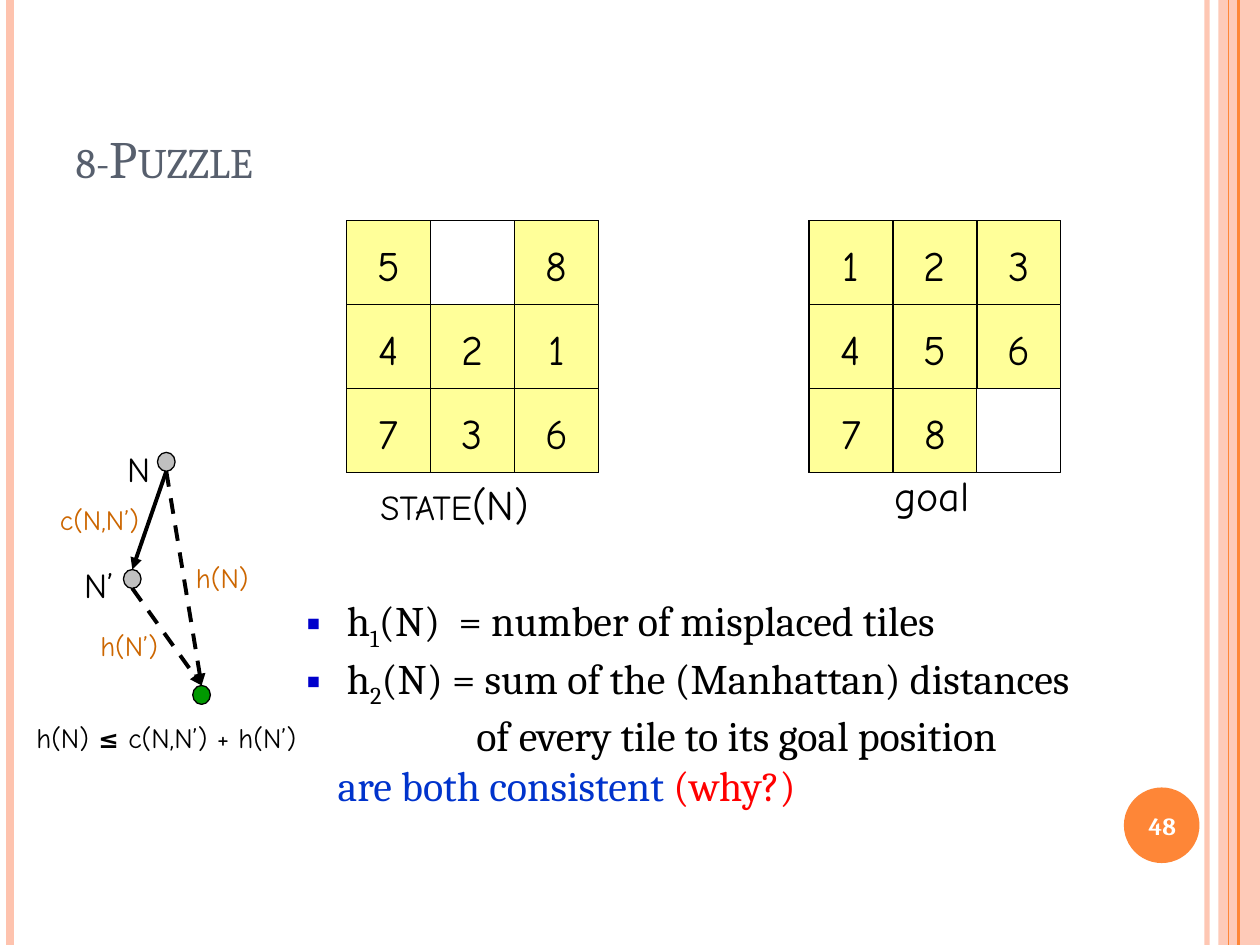
from lxml import etree
from pptx import Presentation
from pptx.dml.color import RGBColor
from pptx.enum import dml, shapes, text
from pptx.oxml import ns
from pptx.util import Inches, Pt

BLACK = RGBColor(0x00, 0x00, 0x00)
WHITE = RGBColor(0xFF, 0xFF, 0xFF)
PEACH = RGBColor(0xFE, 0xC3, 0xAE)
ORANGE = RGBColor(0xFE, 0x86, 0x37)
SLATE = RGBColor(0x57, 0x5F, 0x6D)
YELLOW = RGBColor(0xFF, 0xFF, 0x99)
GREY = RGBColor(0xC0, 0xC0, 0xC0)
GREEN = RGBColor(0x00, 0x99, 0x00)
BROWN = RGBColor(0xCC, 0x66, 0x00)
BLUE = RGBColor(0x00, 0x33, 0xCC)
RED = RGBColor(0xFF, 0x00, 0x00)
BULLET_BLUE = "0000CC"
SERIF, HAND = "Cambria", "Comic Neue"
RECT, OVAL = shapes.MSO_SHAPE.RECTANGLE, shapes.MSO_SHAPE.OVAL
LEFT, CENTER = text.PP_ALIGN.LEFT, text.PP_ALIGN.CENTER

# Content
TITLE = "8-Puzzle"
PAGE = "48"
BOARD_TOP, BOARD_SIZE = 1.75, 2
BOARDS = [  # left edge, rows of tiles
    (2.75, ["5 8", "421", "736"]),
    (6.42, ["123", "456", "78 "]),
]
# Runs are (text, size, bold)
CAPTIONS = [  # box, runs
    ((2.92, 3.75, 1.66, 0.5), [("STATE", 20, False), ("(N)", 24, False)]),
    ((7, 3.68, 0.82, 0.5), [("goal", 24, False)]),
    ((0.19, 5.67, 2.39, 0.37),
     [("h(N) ", 16, False), ("≤", 14, True), (" c(N,N’) + h(N’)", 16, False)]),
]
HEURISTICS = [  # bulleted, left margin, runs of (text, colour, subscript)
    (True, 0.5, [(" h", BLACK, False), ("1", BLACK, True),
                 ("(N)  = number of misplaced tiles", BLACK, False)]),
    (True, 0.5, [(" h", BLACK, False), ("2", BLACK, True),
                 ("(N) = sum of the (Manhattan) distances", BLACK, False)]),
    (False, 1.6, [("of every tile to its goal position", BLACK, False)]),
    (False, 0.5, [("are both consistent ", BLUE, False), ("(why?)", RED, False)]),
]
NODE_W, NODE_H = 0.14, 0.15
NODES = {  # left, top, colour
    "N": (1.25, 3.59, GREY),
    "N’": (0.98, 4.52, GREY),
    "goal": (1.53, 5.44, GREEN),
}
EDGES = [("N", "N’", False), ("N’", "goal", True), ("N", "goal", True)]  # dashed?
GRAPH_LABELS = [  # text, box, size, colour, alignment
    ("N", (0.91, 3.5, 0.42, 0.43), 20, BLACK, LEFT),
    ("N’", (0.57, 4.42, 0.47, 0.44), 20, BLACK, LEFT),
    ("h(N)", (1.43, 4.4, 0.67, 0.37), 16, BROWN, CENTER),
    ("h(N’)", (0.67, 4.94, 0.71, 0.37), 16, BROWN, CENTER),
    ("c(N,N’)", (0.32, 3.94, 0.94, 0.37), 16, BROWN, CENTER),
]
RULES = [  # x, colour, width, opacity
    (9.58, PEACH, 3, 93), (0.08, PEACH, 4.5, 100),
    (9.83, ORANGE, 1.5, 100), (9.75, ORANGE, 0.75, 100),
]


def add_child(parent, tag, **attributes):
    return etree.SubElement(parent, ns.qn(tag), attributes)


def set_opacity(shape, percent):
    colour = next(shape._element.spPr.iter(ns.qn("a:srgbClr")))
    add_child(colour, "a:alpha", val=str(percent * 1000))


def set_font(font, name, size, colour, bold=False):
    font.name, font.size, font.bold = name, Pt(size), bold
    font.color.rgb = colour


def add_figure(parent, kind, box, fill=None, outline=True):
    figure = parent.add_shape(kind, *map(Inches, box))
    figure.shadow.inherit = False
    if fill is None:
        figure.fill.background()
    else:
        figure.fill.solid()
        figure.fill.fore_color.rgb = fill
    if outline:
        figure.line.color.rgb = BLACK
        figure.line.width = Pt(0.75)
    else:
        figure.line.fill.background()
    return figure


def add_line(parent, start, end, colour, width):
    line = parent.add_connector(shapes.MSO_CONNECTOR.STRAIGHT,
                                *map(Inches, (*start, *end)))
    line.line.color.rgb = colour
    line.line.width = Pt(width)
    return line


def drop_shadow(line):
    add_child(line._element.spPr, "a:effectLst")


def add_label(parent, box):
    frame = parent.add_textbox(*map(Inches, box)).text_frame
    frame.word_wrap = False
    return frame


prs = Presentation()
prs.slide_width, prs.slide_height = Inches(10), Inches(7.5)
slide = prs.slides.add_slide(prs.slide_layouts[1])
canvas = slide.shapes

# Side bands and page number
band = add_figure(canvas, RECT, (9.67, 0, 0.33, 7.5), PEACH, outline=False)
set_opacity(band, 87)
for x, colour, width, opacity in RULES:
    rule = add_line(canvas, (x, 0), (x, 7.5), colour, width)
    drop_shadow(rule)
    if opacity < 100:
        set_opacity(rule, opacity)
badge = add_figure(canvas, OVAL, (8.92, 6.25, 0.6, 0.6), ORANGE, outline=False)
page = add_label(canvas, (8.89, 6.27, 0.67, 0.57))
page.vertical_anchor = text.MSO_ANCHOR.MIDDLE
page.text = PAGE
page.paragraphs[0].alignment = CENTER
set_font(page.paragraphs[0].font, SERIF, 14, WHITE, bold=True)

# Title
title = canvas.title
title.left, title.top, title.width, title.height = map(Inches, (0.5, 0.3, 8.17, 1.25))
title.text_frame.text = TITLE
title.text_frame.vertical_anchor = text.MSO_ANCHOR.BOTTOM
heading = title.text_frame.paragraphs[0]
heading.alignment = LEFT
set_font(heading.font, SERIF, 30, SLATE)
heading.runs[0]._r.get_or_add_rPr().set("cap", "small")

# Puzzle boards
tile_size = BOARD_SIZE / 3
for left, rows in BOARDS:
    board = canvas.add_group_shape().shapes
    add_figure(board, RECT, (left, BOARD_TOP, BOARD_SIZE, BOARD_SIZE))
    for row, digits in enumerate(rows):
        for column, digit in enumerate(digits):
            if digit == " ":
                continue
            tile = add_figure(board, RECT, (left + column * tile_size,
                                            BOARD_TOP + row * tile_size,
                                            tile_size, tile_size), YELLOW)
            tile.text_frame.margin_top, tile.text_frame.margin_bottom = Inches(0.04), 0
            tile.text_frame.text = digit
            tile.text_frame.paragraphs[0].alignment = CENTER
            set_font(tile.text_frame.paragraphs[0].font, HAND, 24, BLACK)

# Captions and inequality
for box, runs in CAPTIONS:
    caption = add_label(canvas, box).paragraphs[0]
    for words, size, bold in runs:
        run = caption.add_run()
        run.text = words
        set_font(run.font, HAND, size, BLACK, bold)

# Heuristics list
body = slide.placeholders[1]
body.left, body.top, body.width, body.height = map(Inches, (2.08, 4.67, 7.92, 1.72))
body.text_frame.auto_size = text.MSO_AUTO_SIZE.NONE
for index, (bulleted, margin, runs) in enumerate(HEURISTICS):
    line = body.text_frame.paragraphs[0] if index == 0 else body.text_frame.add_paragraph()
    line.space_before = Pt(0)
    props = line._p.get_or_add_pPr()
    props.set("marL", str(Inches(margin)))
    props.set("indent", str(Inches(-0.25 if bulleted else 0)))
    if bulleted:
        add_child(add_child(props, "a:buClr"), "a:srgbClr", val=BULLET_BLUE)
        add_child(props, "a:buChar", char="▪")
    else:
        add_child(props, "a:buNone")
    line.font.name, line.font.size = SERIF, Pt(24)
    for words, colour, subscript in runs:
        run = line.add_run()
        run.text = words
        run.font.color.rgb = colour
        if subscript:
            run._r.get_or_add_rPr().set("baseline", "-25000")

# Consistency triangle
graph = canvas.add_group_shape().shapes
for left, top, colour in NODES.values():
    add_figure(graph, OVAL, (left, top, NODE_W, NODE_H), colour)
for source, target, dashed in EDGES:
    (x1, y1, _), (x2, y2, _) = NODES[source], NODES[target]
    edge = add_line(graph, (x1 + NODE_W / 2, y1 + NODE_H), (x2 + NODE_W / 2, y2), BLACK, 2.25)
    if dashed:
        edge.line.dash_style = dml.MSO_LINE.DASH
    add_child(edge.line._get_or_add_ln(), "a:tailEnd", type="triangle")
    drop_shadow(edge)
for words, box, size, colour, alignment in GRAPH_LABELS:
    label = add_label(graph, box).paragraphs[0]
    label.text = words
    label.alignment = alignment
    set_font(label.font, HAND, size, colour)

prs.save("out.pptx")
